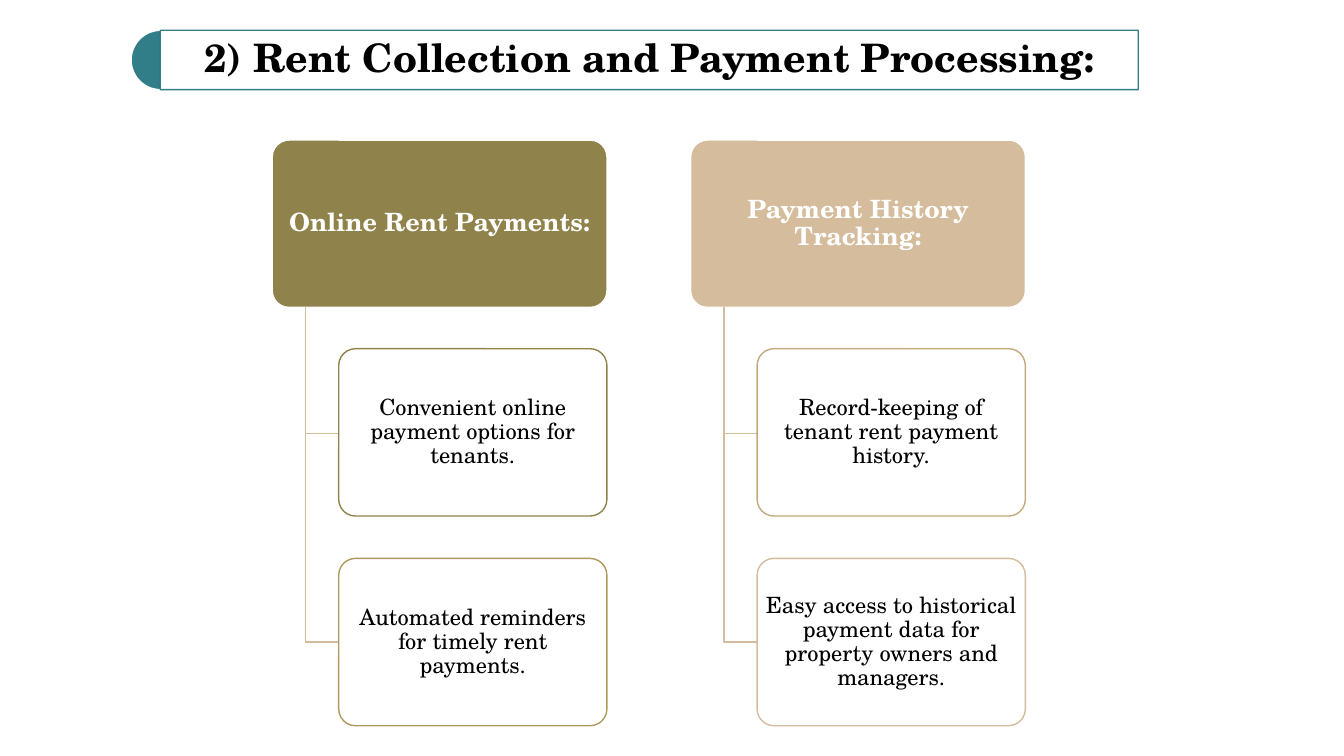
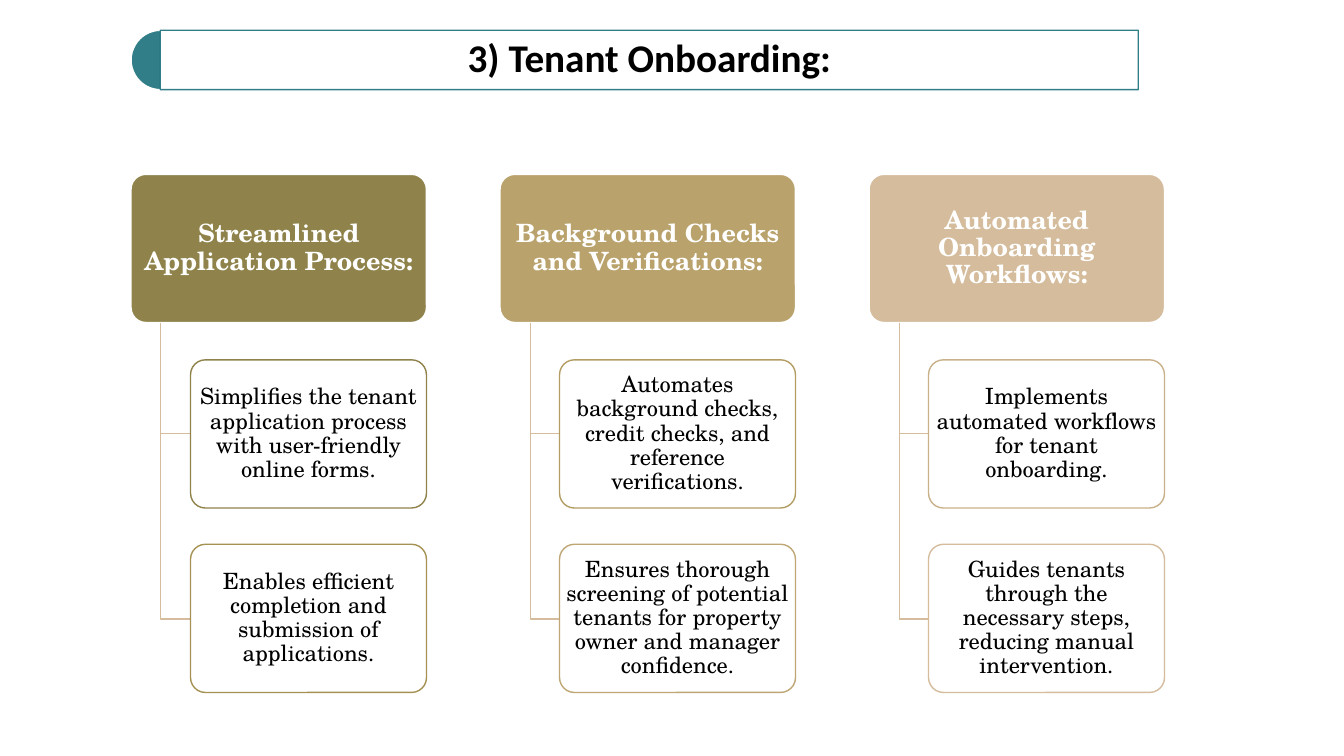
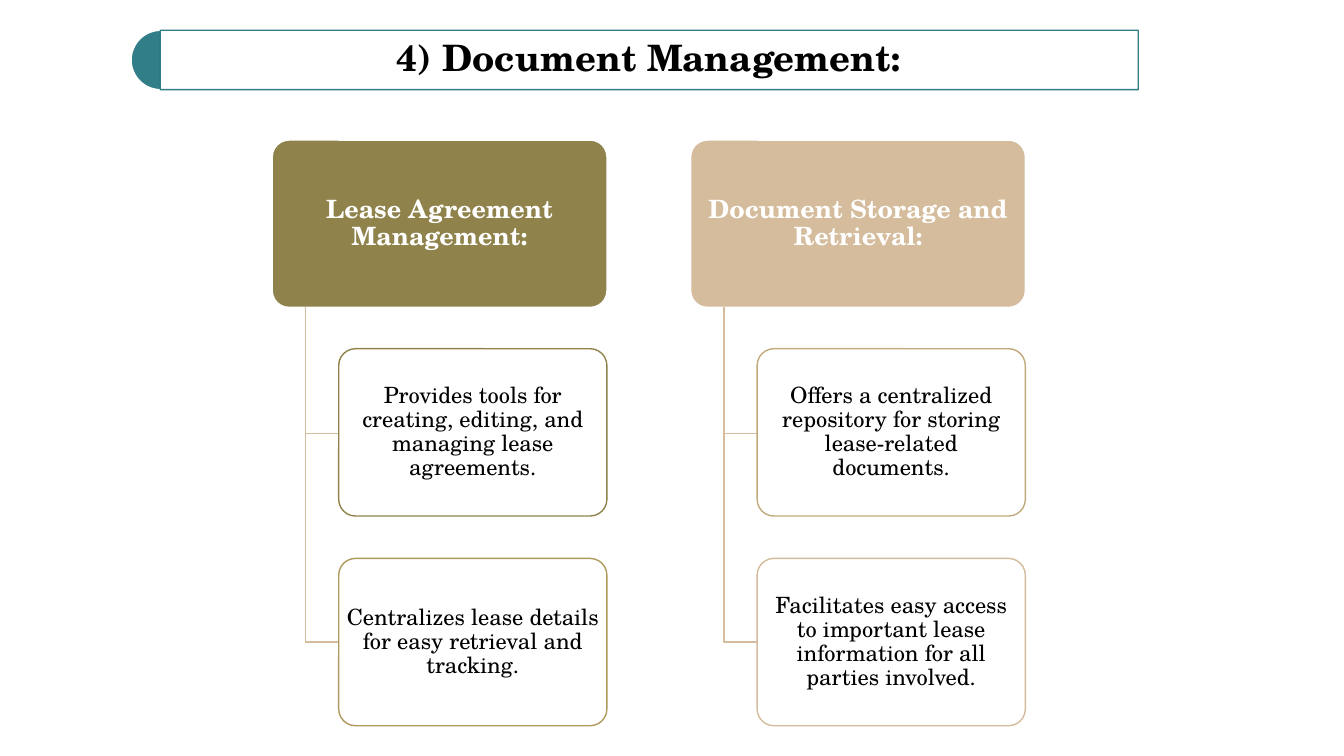
"""Builds three property-management slides with a title bar and two-level trees."""
from pptx import Presentation
from pptx.dml.color import RGBColor
from pptx.enum.shapes import MSO_SHAPE
from pptx.enum.text import MSO_ANCHOR, PP_ALIGN
from pptx.oxml.ns import qn
from pptx.util import Pt
from lxml import etree

PX = 9144
PIE, RECT, ROUND = MSO_SHAPE.PIE, MSO_SHAPE.RECTANGLE, MSO_SHAPE.ROUNDED_RECTANGLE
CENTER, MIDDLE = PP_ALIGN.CENTER, MSO_ANCHOR.MIDDLE
SERIF, SANS = "TeX Gyre Schola", "Calibri"
FILL_ONLY, FILL_AND_LINE = "a:solidFill/a:srgbClr", ".//a:srgbClr"
COLORS = {
    "white": "FFFFFF", "black": "000000", "teal": "1C717C",
    "olive": "8F834B", "moss": "A59253", "straw": "AF9A5D",
    "ochre": "B39D63", "gold": "B9A26C", "wheat": "BEA775",
    "honey": "C2AA7C", "beige": "C9B189", "sand": "D4BC9C",
}
TWO_COLUMNS = {
    "left": 270, "top": 139, "width": 332,
    "fills": ["olive", "sand"],
    "outlines": [["olive", "straw"], ["honey", "sand"]],
}
THREE_COLUMNS = {
    "left": 130, "top": 173, "width": 293,
    "fills": ["olive", "gold", "sand"],
    "outlines": [["olive", "moss"], ["ochre", "wheat"], ["beige", "sand"]],
}
SLIDES = [
    ("2) Rent Collection and Payment Processing:", SERIF, 28, TWO_COLUMNS, [
        ("Online Rent Payments:", [
            "Convenient online payment options for tenants.",
            "Automated reminders for timely rent payments."]),
        ("Payment History Tracking:", [
            "Record-keeping of tenant rent payment history.",
            "Easy access to historical payment data for property owners and managers."]),
    ]),
    ("3) Tenant Onboarding:", SANS, 28, THREE_COLUMNS, [
        ("Streamlined Application Process:", [
            "Simplifies the tenant application process with user-friendly online forms.",
            "Enables efficient completion and submission of applications."]),
        ("Background Checks and Verifications:", [
            "Automates background checks, credit checks, and reference verifications.",
            "Ensures thorough screening of potential tenants for property owner and manager confidence."]),
        ("Automated Onboarding Workflows:", [
            "Implements automated workflows for tenant onboarding.",
            "Guides tenants through the necessary steps, reducing manual intervention."]),
    ]),
    ("4) Document Management:", SERIF, 26, TWO_COLUMNS, [
        ("Lease Agreement Management:", [
            "Provides tools for creating, editing, and managing lease agreements.",
            "Centralizes lease details for easy retrieval and tracking."]),
        ("Document Storage and Retrieval:", [
            "Offers a centralized repository for storing lease-related documents.",
            "Facilitates easy access to important lease information for all parties involved."]),
    ]),
]


def add_box(page, kind, bounds, fill, outline, veiled=None):
    box = page.shapes.add_shape(kind, *(round(length) * PX for length in bounds))
    box.shadow.inherit = False
    box.fill.solid()
    box.fill.fore_color.rgb = RGBColor.from_string(COLORS[fill])
    box.line.color.rgb = RGBColor.from_string(COLORS[outline])
    box.line.width = Pt(1)
    if kind == ROUND:
        box.adjustments[0] = 0.1
    if veiled:
        for color in box._element.spPr.xpath(veiled):
            etree.SubElement(color, qn("a:alpha"), val="90000")
    return box


def write(box, text, size, color, margin, font=SERIF, bold=False):
    frame = box.text_frame
    frame.word_wrap = True
    frame.vertical_anchor = MIDDLE
    frame.margin_left = frame.margin_right = margin * PX
    frame.margin_top = frame.margin_bottom = margin * PX
    para = frame.paragraphs[0]
    para.text = text
    para.alignment = CENTER
    para.line_spacing = 0.9
    para.font.name = font
    para.font.size = Pt(size)
    para.font.bold = bold
    para.font.color.rgb = RGBColor.from_string(COLORS[color])


deck = Presentation()
deck.slide_width, deck.slide_height = 1333 * PX, 750 * PX

for title, title_font, title_size, tree, columns in SLIDES:
    page = deck.slides.add_slide(deck.slide_layouts[6])
    half_disc = add_box(page, PIE, (130, 30, 59, 59), "teal", "white", FILL_ONLY)
    half_disc.adjustments[0], half_disc.adjustments[1] = 54, 162
    title_bar = add_box(page, RECT, (159, 30, 970, 59), "white", "teal", FILL_AND_LINE)
    write(title_bar, title, title_size, "black", 12, title_font, True)

    top, width = tree["top"], tree["width"]
    height = (width + 1) // 2
    for column, (heading, details) in enumerate(columns):
        left = tree["left"] + column * width * 1.25
        head = add_box(page, ROUND, (left, top, width, height), tree["fills"][column], "white")
        write(head, heading, 18, "white", 4, bold=True)
        spine, leaf_left = round(left + width * 0.1), round(left + width * 0.2)
        for row, detail in enumerate(details):
            leaf_top = top + (row + 1) * height * 1.25
            elbow = round(leaf_top + height / 2)
            path = page.shapes.build_freeform(spine, top + height, scale=PX)
            path.add_line_segments([(spine, elbow), (leaf_left, elbow)], close=False)
            branch = path.convert_to_shape()
            branch.shadow.inherit = False
            branch.fill.background()
            branch.line.color.rgb = RGBColor.from_string(COLORS["sand"])
            branch.line.width = Pt(1)
            leaf = add_box(page, ROUND, (leaf_left, leaf_top, width * 0.8, height),
                           "white", tree["outlines"][column][row], FILL_ONLY)
            write(leaf, detail, 16, "black", 2)

deck.save("out.pptx")
